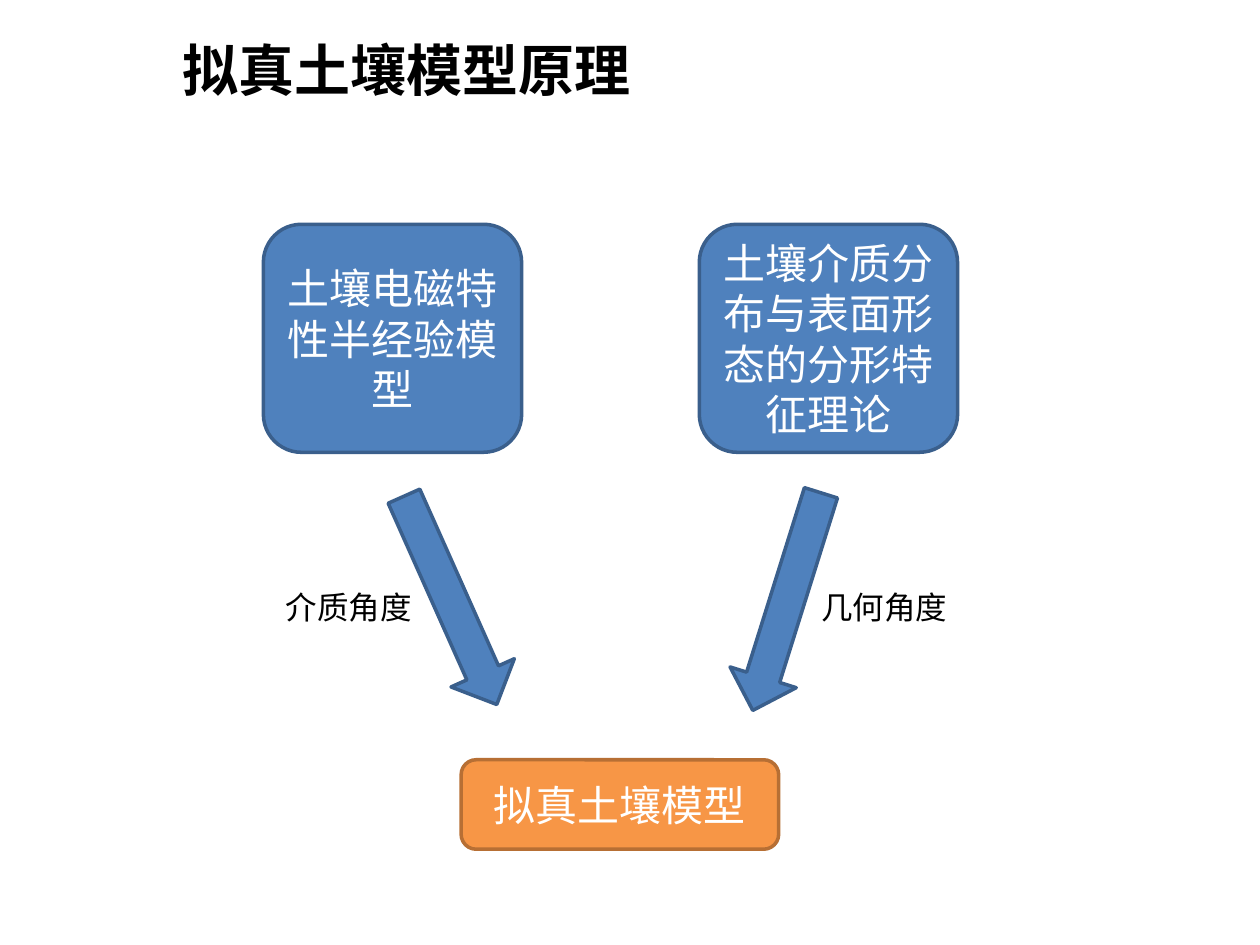
from dataclasses import dataclass

from lxml.etree import SubElement
from pptx import Presentation
from pptx.dml.color import RGBColor
from pptx.enum.shapes import MSO_SHAPE
from pptx.enum.text import MSO_ANCHOR, MSO_AUTO_SIZE, PP_ALIGN
from pptx.oxml.ns import qn
from pptx.shapes.autoshape import Shape
from pptx.slide import Slide
from pptx.util import Inches, Pt

CELL = 0.1  # inches; the slide is a grid of 100 columns by 75 rows


@dataclass(frozen=True)
class Theme:
    black: RGBColor = RGBColor(0x00, 0x00, 0x00)
    white: RGBColor = RGBColor(0xFF, 0xFF, 0xFF)
    blue: RGBColor = RGBColor(0x4F, 0x81, 0xBD)
    blue_edge: RGBColor = RGBColor(0x3A, 0x5F, 0x8C)
    orange: RGBColor = RGBColor(0xF7, 0x96, 0x46)
    orange_edge: RGBColor = RGBColor(0xB7, 0x6F, 0x34)
    latin_font: str = "Arial"
    chinese_font: str = "Noto Sans CJK SC"
    title_size: int = 32
    box_size: int = 24
    label_size: int = 18
    edge_width: int = 2


@dataclass(frozen=True)
class Area:
    """A region in grid columns and rows."""
    column: float
    row: float
    columns: float
    rows: float

    def lengths(self) -> tuple[int, ...]:
        cells = (self.column, self.row, self.columns, self.rows)
        return tuple(Inches(n * CELL) for n in cells)


@dataclass(frozen=True)
class Branch:
    """One theory, its arrow towards the model and the arrow's label."""
    theory: str
    theory_column: float
    arrow: Area
    rotation: float
    angle: str
    angle_column: float


THEME = Theme()
BRANCHES = (
    Branch("土壤电磁特性半经验模型", 20.9, Area(33, 38.6, 5.5, 18.1), 336,
           "介质角度", 21.7),
    Branch("土壤介质分布与表面形态的分形特征理论", 55.5,
           Area(59.7, 38.7, 5.5, 18.1), 17.4, "几何角度", 64.2),
)


def write(shape: Shape, text: str, size: int, color: RGBColor, latin: str,
          align: PP_ALIGN, bold: bool = False) -> None:
    paragraph = shape.text_frame.paragraphs[0]
    paragraph.text = text
    paragraph.alignment = align
    font = paragraph.font
    font.size, font.bold, font.name = Pt(size), bold, latin
    font.color.rgb = color
    properties = paragraph._p.pPr.find(qn("a:defRPr"))
    SubElement(properties, qn("a:ea"), typeface=THEME.chinese_font)


def write_plain(shape: Shape, text: str, size: int, bold: bool = False) -> None:
    """Write black text on one line, in a frame that grows with it."""
    frame = shape.text_frame
    frame.word_wrap = False
    frame.auto_size = MSO_AUTO_SIZE.SHAPE_TO_FIT_TEXT
    frame.vertical_anchor = MSO_ANCHOR.TOP
    write(shape, text, size, THEME.black, THEME.latin_font, PP_ALIGN.LEFT, bold)


def add_filled(slide: Slide, preset: MSO_SHAPE, area: Area, fill: RGBColor,
               edge: RGBColor) -> Shape:
    shape = slide.shapes.add_shape(preset, *area.lengths())
    shape.shadow.inherit = False
    shape.fill.solid()
    shape.fill.fore_color.rgb = fill
    shape.line.color.rgb = edge
    shape.line.width = Pt(THEME.edge_width)
    return shape


def add_box(slide: Slide, text: str, area: Area, fill: RGBColor,
            edge: RGBColor) -> None:
    box = add_filled(slide, MSO_SHAPE.ROUNDED_RECTANGLE, area, fill, edge)
    box.text_frame.word_wrap = True
    box.text_frame.vertical_anchor = MSO_ANCHOR.MIDDLE
    write(box, text, THEME.box_size, THEME.white, THEME.chinese_font,
          PP_ALIGN.CENTER)


def add_branch(slide: Slide, branch: Branch) -> None:
    add_box(slide, branch.theory, Area(branch.theory_column, 17.8, 20.5, 18.1),
            THEME.blue, THEME.blue_edge)
    arrow = add_filled(slide, MSO_SHAPE.DOWN_ARROW, branch.arrow,
                       THEME.blue, THEME.blue_edge)
    arrow.rotation = branch.rotation
    label_area = Area(branch.angle_column, 46.2, 12.2, 4)
    label = slide.shapes.add_textbox(*label_area.lengths())
    write_plain(label, branch.angle, THEME.label_size)


def main() -> None:
    presentation = Presentation()
    presentation.slide_width = Inches(100 * CELL)
    presentation.slide_height = Inches(75 * CELL)
    slide = presentation.slides.add_slide(presentation.slide_layouts[5])

    title = slide.shapes.title
    title.left, title.top, title.width, title.height = Area(
        13.5, 2.3, 38.1, 6.4).lengths()
    write_plain(title, "拟真土壤模型原理", THEME.title_size, bold=True)

    for branch in BRANCHES:
        add_branch(slide, branch)
    add_box(slide, "拟真土壤模型", Area(36.6, 60.3, 25.2, 7.1),
            THEME.orange, THEME.orange_edge)

    presentation.save("out.pptx")


if __name__ == "__main__":
    main()
